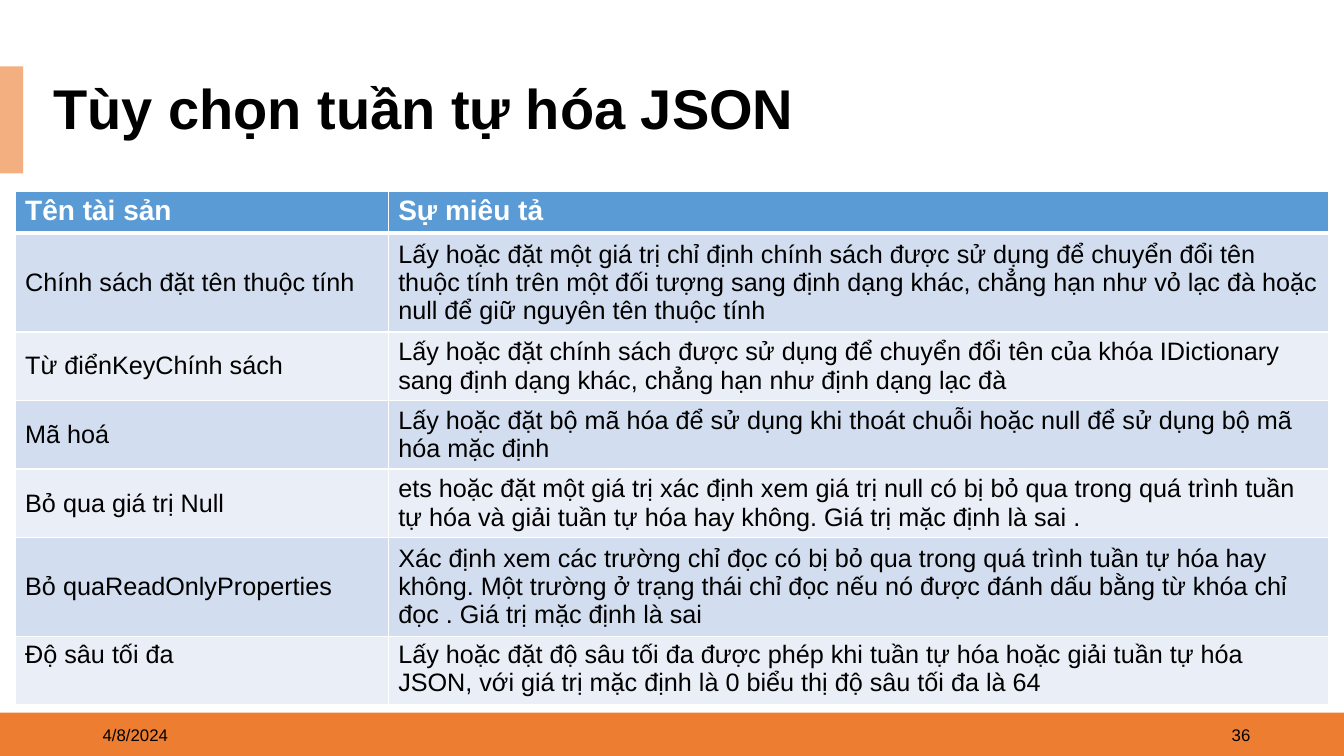
from dataclasses import dataclass

from lxml import etree
from pptx import Presentation
from pptx.dml.color import RGBColor
from pptx.enum import shapes, text
from pptx.oxml.ns import qn
from pptx.util import Inches, Pt

TITLE = "Tùy chọn tuần tự hóa JSON"
DATE, NUMBER = "4/8/2024", "36"
HEADER = ("Tên tài sản", "Sự miêu tả")
OPTIONS = [
    ("Chính sách đặt tên thuộc tính",
     "Lấy hoặc đặt một giá trị chỉ định chính sách được sử dụng để chuyển đổi tên thuộc tính trên "
     "một đối tượng sang định dạng khác, chẳng hạn như vỏ lạc đà hoặc null để giữ nguyên tên thuộc tính"),
    ("Từ điểnKeyChính sách",
     "Lấy hoặc đặt chính sách được sử dụng để chuyển đổi tên của khóa IDictionary sang định dạng "
     "khác, chẳng hạn như định dạng lạc đà"),
    ("Mã hoá",
     "Lấy hoặc đặt bộ mã hóa để sử dụng khi thoát chuỗi hoặc null để sử dụng bộ mã hóa mặc định"),
    ("Bỏ qua giá trị Null",
     "ets hoặc đặt một giá trị xác định xem giá trị null có bị bỏ qua trong quá trình tuần tự hóa "
     "và giải tuần tự hóa hay không. Giá trị mặc định là sai ."),
    ("Bỏ quaReadOnlyProperties",
     "Xác định xem các trường chỉ đọc có bị bỏ qua trong quá trình tuần tự hóa hay không. Một trường "
     "ở trạng thái chỉ đọc nếu nó được đánh dấu bằng từ khóa chỉ đọc . Giá trị mặc định là sai"),
    ("Độ sâu tối đa",
     "Lấy hoặc đặt độ sâu tối đa được phép khi tuần tự hóa hoặc giải tuần tự hóa JSON, với giá trị "
     "mặc định là 0 biểu thị độ sâu tối đa là 64"),
]
COLUMN_WIDTHS = (3.7, 9.33)
ROW_HEIGHTS = (0.41, 0.94, 0.66, 0.66, 0.66, 0.94, 0.66)


@dataclass(frozen=True)
class Theme:
    font: str = "Arial"
    ink: str = "000000"
    paper: str = "FFFFFF"
    footer: str = "ED7D31"
    accent: str = "F4AF80"
    header: str = "5B9BD5"
    bands: tuple = ("D2DEEF", "EAEFF7")
    title_size: int = 40
    header_size: int = 20
    body_size: int = 18
    footer_size: int = 12


theme = Theme()


def paint(fill, color):
    fill.solid()
    fill.fore_color.rgb = RGBColor.from_string(color)


def write(tf, content, size, color=theme.ink, bold=False, align=text.PP_ALIGN.LEFT, spacing=1.0):
    tf.word_wrap = True
    p = tf.paragraphs[0]
    p.alignment = align
    p.line_spacing = spacing
    r = p.add_run()
    r.text = content
    r.font.name = theme.font
    r.font.size = Pt(size)
    r.font.bold = bold
    r.font.color.rgb = RGBColor.from_string(color)


def add_bar(slide, box, color):
    sp = slide.shapes.add_shape(shapes.MSO_SHAPE.RECTANGLE, *map(Inches, box))
    sp.shadow.inherit = False
    paint(sp.fill, color)
    sp.line.fill.background()


def add_footer_text(slide, left, content, align):
    tf = slide.shapes.add_textbox(*map(Inches, (left, 7.09, 3, 0.4))).text_frame
    tf.vertical_anchor = text.MSO_ANCHOR.MIDDLE
    write(tf, content, theme.footer_size, align=align)


def set_borders(cell, top, bottom):
    props = cell._tc.get_or_add_tcPr()
    edges = (("a:lnL", 1), ("a:lnR", 1), ("a:lnT", top), ("a:lnB", bottom))
    for i, (edge, width) in enumerate(edges):
        ln = etree.Element(qn(edge), w=str(Pt(width)))
        fill = etree.SubElement(ln, qn("a:solidFill"))
        etree.SubElement(fill, qn("a:srgbClr"), val=theme.paper)
        props.insert(i, ln)


def add_options_table(slide):
    rows = [HEADER, *OPTIONS]
    box = (0.15, 1.9, sum(COLUMN_WIDTHS), sum(ROW_HEIGHTS))
    table = slide.shapes.add_table(len(rows), len(HEADER), *map(Inches, box)).table
    for column, width in zip(table.columns, COLUMN_WIDTHS):
        column.width = Inches(width)
    for row, height in zip(table.rows, ROW_HEIGHTS):
        row.height = Inches(height)
    for i, row in enumerate(rows):
        is_header = i == 0
        centred = 0 < i < len(rows) - 1
        for j, content in enumerate(row):
            cell = table.cell(i, j)
            cell.margin_top = cell.margin_bottom = Inches(0.04)
            cell.vertical_anchor = text.MSO_ANCHOR.MIDDLE if centred else text.MSO_ANCHOR.TOP
            paint(cell.fill, theme.header if is_header else theme.bands[(i - 1) % 2])
            set_borders(cell, top=3 if i == 1 else 1, bottom=3 if is_header else 1)
            if is_header:
                write(cell.text_frame, content, theme.header_size, theme.paper, True,
                      text.PP_ALIGN.JUSTIFY)
            else:
                write(cell.text_frame, content, theme.body_size)


def main():
    prs = Presentation()
    prs.slide_width, prs.slide_height = Inches(13.33), Inches(7.5)
    slide = prs.slides.add_slide(prs.slide_layouts[5])
    paint(slide.background.fill, theme.paper)

    add_bar(slide, (0, 7.07, 13.33, 0.43), theme.footer)
    add_bar(slide, (0, 0.66, 0.23, 1.06), theme.accent)
    add_footer_text(slide, 0.92, DATE, text.PP_ALIGN.LEFT)
    add_footer_text(slide, 9.5, NUMBER, text.PP_ALIGN.RIGHT)

    title = slide.shapes.title
    title.left, title.top, title.width, title.height = map(Inches, (0.43, 0.79, 12.2, 0.63))
    paint(title.fill, theme.paper)
    title.text_frame.vertical_anchor = text.MSO_ANCHOR.MIDDLE
    title.text_frame.auto_size = text.MSO_AUTO_SIZE.NONE
    write(title.text_frame, TITLE, theme.title_size, bold=True, spacing=0.9)

    add_options_table(slide)
    prs.save("out.pptx")


if __name__ == "__main__":
    main()
